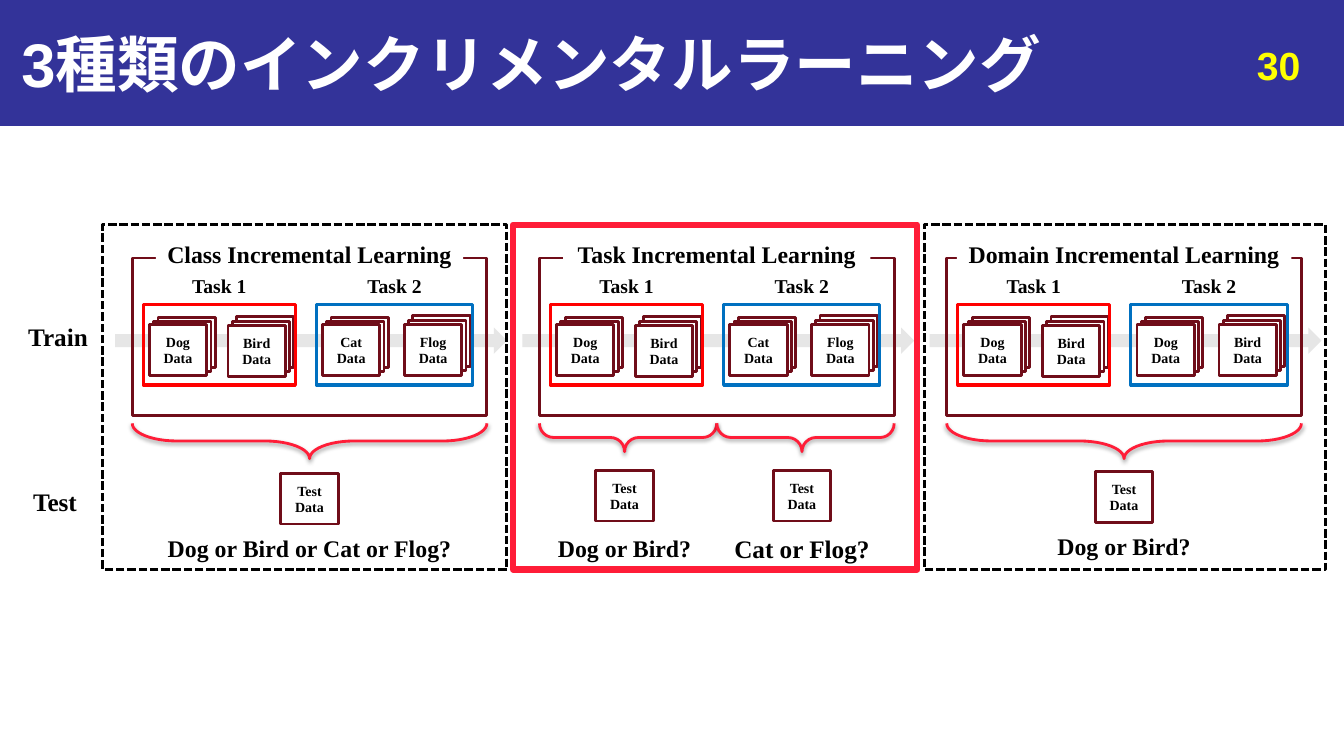
from lxml.etree import SubElement
from pptx import Presentation
from pptx.dml.color import RGBColor
from pptx.enum.dml import MSO_LINE
from pptx.enum.shapes import MSO_SHAPE as SHAPE
from pptx.enum.text import MSO_ANCHOR as ANCHOR, MSO_AUTO_SIZE as AUTO_SIZE, PP_ALIGN as ALIGN
from pptx.oxml.ns import qn
from pptx.util import Pt

NAVY = RGBColor(0x33, 0x33, 0x99)
WHITE = RGBColor(0xFF, 0xFF, 0xFF)
BLACK = RGBColor(0, 0, 0)
YELLOW = RGBColor(0xFF, 0xFF, 0)
MAROON = RGBColor(0x70, 0x0D, 0x19)
GRAY = RGBColor(0xE6, 0xE6, 0xE6)
RED = RGBColor(0xFF, 0, 0)
BLUE = RGBColor(0, 0x70, 0xC0)
CRIMSON = RGBColor(0xFF, 0x1D, 0x38)
SERIF, SANS = "Times New Roman", "Arial"

TITLE = "3種類のインクリメンタルラーニング"
PAGE = "30"
STAGES = [("Train", 13, 226, 63.5), ("Test", 16.5, 343.5, 57)]
PANELS = [
    dict(heading="Class Incremental Learning", heading_width=219.6,
         data=["Dog", "Bird", "Cat", "Flog"],
         questions=[("Dog or Bird or Cat or Flog?", 17)],
         test_top=338.4, question_top=378,
         border=(73.4, 288.7, BLACK, 2, MSO_LINE.SQUARE_DOT)),
    dict(heading="Task Incremental Learning", heading_width=219.6,
         data=["Dog", "Bird", "Cat", "Flog"],
         questions=[("Dog or Bird?", 17), ("Cat or Flog?", 18)],
         test_top=336.2, question_top=377.6,
         border=(366.5, 288.7, CRIMSON, 4.5, None)),
    dict(heading="Domain Incremental Learning", heading_width=239,
         data=["Dog", "Bird", "Dog", "Bird"],
         questions=[("Dog or Bird?", 17)],
         test_top=337, question_top=376.6,
         border=(660.2, 286.6, BLACK, 2, MSO_LINE.SQUARE_DOT)),
]
TASKS = [("Task 1", 7.9, 108.7, RED), ("Task 2", 131.6, 111.6, BLUE)]
STACKS = [(12.25, 232, 3.1, 2.6), (68.5, 232.7, 3, 3.2),
          (136, 232, 3, 2.6), (194.5, 232, 3, 3.2)]
CARD_W, CARD_H = 41, 36
FRAME_LEFT, FRAME_TOP, FRAME_W, FRAME_H = 94.4, 184.3, 253.4, 112.3
FRAME_STEP = 290.9
BRACE_TOP = 302.4

prs = Presentation()
prs.slide_width, prs.slide_height = Pt(960), Pt(540)
slide = prs.slides.add_slide(prs.slide_layouts[5])


def write(shape, text, size, font=SERIF, color=BLACK, align=ALIGN.CENTER, anchor=ANCHOR.TOP):
    frame = shape.text_frame
    frame.text = text
    frame.word_wrap = True
    frame.auto_size = AUTO_SIZE.NONE
    frame.vertical_anchor = anchor
    paragraph = frame.paragraphs[0]
    paragraph.alignment = align
    paragraph.font.name = font
    paragraph.font.size = Pt(size)
    paragraph.font.bold = True
    paragraph.font.color.rgb = color


def draw(parent, kind, left, top, width, height, fill=None, line=None, weight=2):
    shape = parent.add_shape(kind, Pt(left), Pt(top), Pt(width), Pt(height))
    shape.shadow.inherit = False
    if fill is None:
        shape.fill.background()
    else:
        shape.fill.solid()
        shape.fill.fore_color.rgb = fill
    if line is None:
        shape.line.fill.background()
    else:
        shape.line.color.rgb = line
        shape.line.width = Pt(weight)
    return shape


def label(text, left, top, width, height, size, **style):
    box = slide.shapes.add_textbox(Pt(left), Pt(top), Pt(width), Pt(height))
    write(box, text, size, **style)


def card(parent, left, top, text=None):
    shape = draw(parent, SHAPE.RECTANGLE, left, top, CARD_W, CARD_H, WHITE, MAROON)
    if text:
        write(shape, text, 10, anchor=ANCHOR.MIDDLE)


def banner(text, center, top, width, size):
    shape = draw(slide.shapes, SHAPE.RECTANGLE, center - width / 2, top, width, 28, WHITE)
    write(shape, text, size)


def brace(center, width, depth, curve, tip):
    middle = BRACE_TOP + depth / 2
    shape = draw(slide.shapes, SHAPE.RIGHT_BRACE, center - depth / 2, middle - width / 2,
                 depth, width, line=CRIMSON)
    shape.rotation = 90
    shape.adjustments[0] = curve
    shape.adjustments[1] = tip
    effects = shape.element.spPr.find(qn("a:effectLst"))
    shadow = SubElement(effects, qn("a:outerShdw"), blurRad=str(Pt(3.1)), dist=str(Pt(1.6)),
                        dir="5400000", rotWithShape="0")
    tint = SubElement(shadow, qn("a:srgbClr"), val="000000")
    SubElement(tint, qn("a:alpha"), val="38000")


def training(panel, left):
    group = slide.shapes.add_group_shape().shapes
    draw(group, SHAPE.RIGHT_ARROW, left - 12.2, 234, 280, 18.7, GRAY)
    draw(group, SHAPE.RECTANGLE, left, FRAME_TOP, FRAME_W, FRAME_H, line=MAROON)
    for animal, (x, y, dx, dy) in zip(panel["data"], STACKS):
        for depth in (2, 1, 0):
            text = None if depth else f"{animal} Data"
            card(group, left + x + depth * dx, y - depth * dy, text)
    banner(panel["heading"], left + FRAME_W / 2, 167.5, panel["heading_width"], 17)
    for task, x, width, color in TASKS:
        draw(slide.shapes, SHAPE.RECTANGLE, left + x, 217.5, width, 57.6,
             line=color, weight=2.25)
        label(task, left + x + (width - 63.4) / 2, 192.3, 63.4, 24.5, 14)


def testing(panel, left):
    questions = panel["questions"]
    split = len(questions) > 1
    share = FRAME_W / len(questions)
    depth, curve, tip = (20.2, 0.5, 0.52) if split else (25.2, 1.26, 0.5)
    for i, (question, size) in enumerate(questions):
        center = left + share * (i + 0.5)
        target = center - share * (tip - 0.5)
        brace(center, share, depth, curve, tip)
        card(slide.shapes, target - CARD_W / 2, panel["test_top"], "Test Data")
        banner(question, target, panel["question_top"], 121.7 if split else 219.6, size)


title = slide.shapes.title
title.left, title.top, title.width, title.height = Pt(8), Pt(0), Pt(952), Pt(90)
write(title, TITLE, 44, font=SANS, color=WHITE, align=ALIGN.LEFT, anchor=ANCHOR.MIDDLE)
band = draw(slide.shapes, SHAPE.RECTANGLE, 0, 0, 960, 90, NAVY, NAVY, 0.75)
title.element.addprevious(band.element)
label(PAGE, 712, 26, 224, 37.5, 28, font=SANS, color=YELLOW, align=ALIGN.RIGHT)
for stage, left, top, width in STAGES:
    label(stage, left, top, width, 29, 18, align=ALIGN.LEFT)

for i, panel in enumerate(PANELS):
    frame_left = FRAME_LEFT + i * FRAME_STEP
    training(panel, frame_left)
    testing(panel, frame_left)
    border_left, border_width, color, weight, dash = panel["border"]
    border = draw(slide.shapes, SHAPE.RECTANGLE, border_left, 160.5, border_width, 246.3,
                  line=color, weight=weight)
    if dash:
        border.line.dash_style = dash

prs.save("out.pptx")
